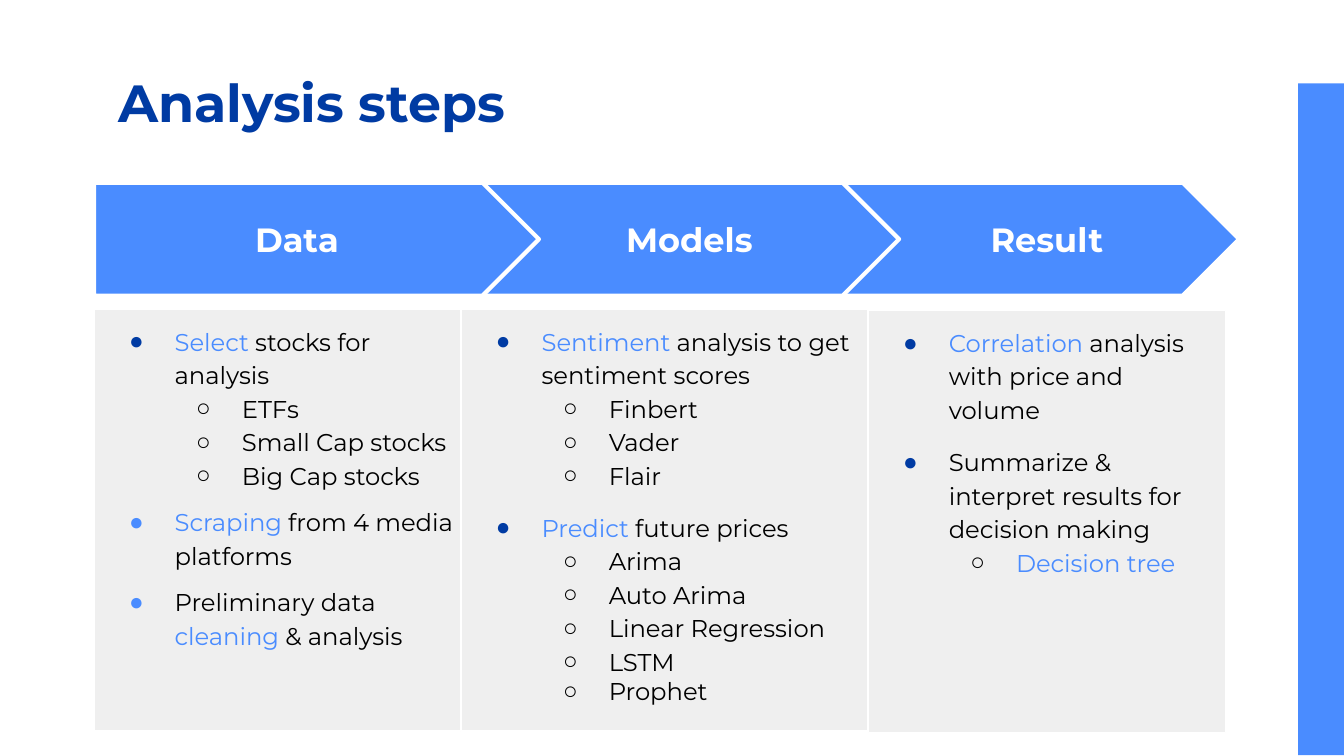
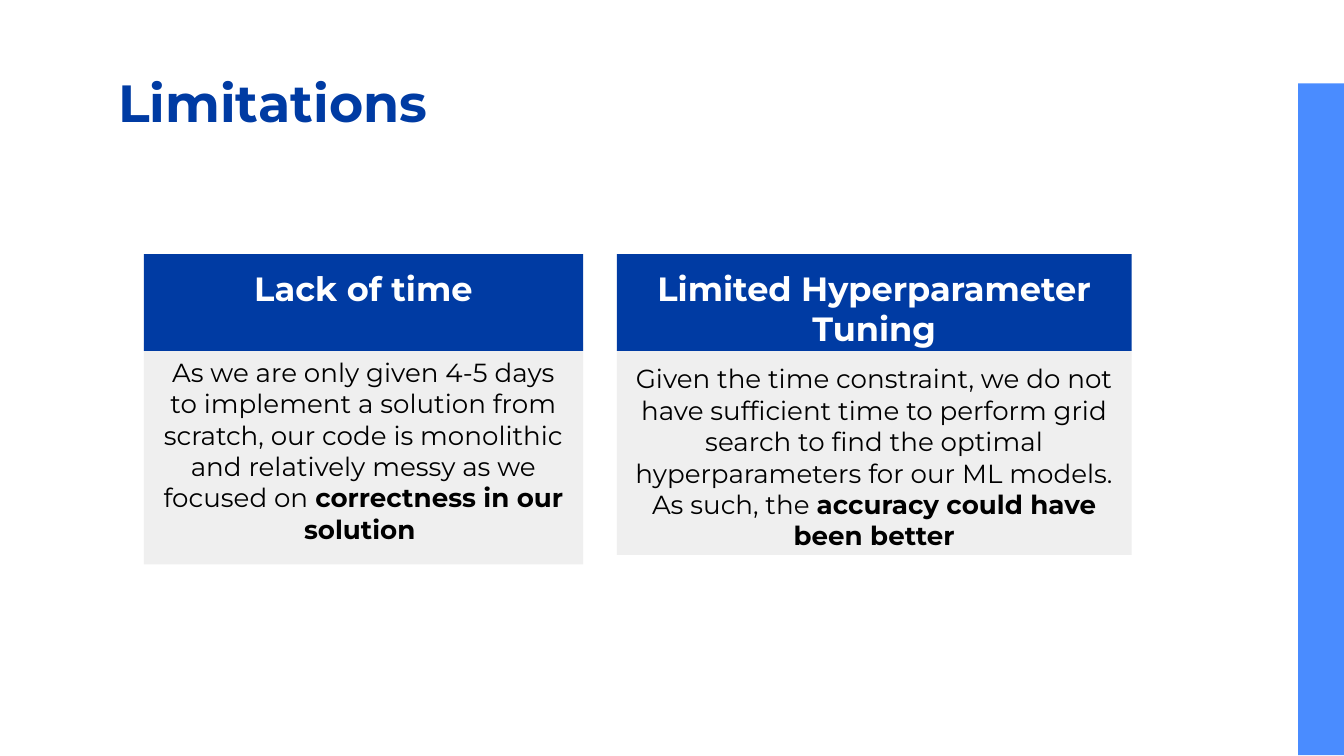
from dataclasses import dataclass

from lxml.etree import SubElement
from pptx import Presentation
from pptx.dml.color import RGBColor
from pptx.enum.shapes import MSO_SHAPE
from pptx.enum.text import MSO_ANCHOR, MSO_AUTO_SIZE, PP_ALIGN
from pptx.oxml.ns import qn
from pptx.util import Inches, Pt

BLUE = RGBColor(0x4A, 0x8C, 0xFF)
NAVY = RGBColor(0x00, 0x3B, 0xA3)
GRAY = RGBColor(0xEF, 0xEF, 0xEF)
BLACK = RGBColor(0, 0, 0)
WHITE = RGBColor(0xFF, 0xFF, 0xFF)
FACE = "Montserrat"
COMPARE, TITLE_ONLY = 4, 5  # layout numbers


@dataclass
class Item:
    """A list entry; words between asterisks are accented."""
    text: str
    level: int = 0
    gap: float = 0
    dot: RGBColor = NAVY
    pitch: float = 1.15


def subs(*names):
    return [Item(name, 1, dot=BLACK) for name in names]


STEPS = [  # heading, arrow left, heading left, panel box, list
    ("Data", 0.7, 1.26, (0.7, 2.3, 2.78, 3.14), [
        Item("*Select* stocks for analysis"),
        *subs("ETFs", "Small Cap stocks", "Big Cap stocks"),
        Item("*Scraping* from 4 media platforms", gap=7, dot=BLUE),
        Item("Preliminary data *cleaning* & analysis", gap=7, dot=BLUE)]),
    ("Models", 3.38, 4.18, (3.43, 2.3, 3.03, 3.14), [
        Item("*Sentiment *analysis to get sentiment scores"),
        *subs("Finbert", "Vader", "Flair"),
        Item("*Predict* future prices", gap=10),
        *subs("Arima", "Auto Arima", "Linear Regression", "LSTM"),
        Item("Prophet", 1, dot=BLACK, pitch=1.0)]),
    ("Result", 5.91, 6.84, (6.46, 2.31, 2.66, 3.14), [
        Item("*Correlation *analysis with price and volume"),
        Item("Summarize & interpret results for decision making", gap=10),
        *subs("*Decision tree*")]),
]

LIMITS = [  # heading, left, width, body top, body height, text
    ("Lack of time", 1.07, 3.27, 2.55, 1.65,
     "As we are only given 4-5 days to implement a solution from scratch, "
     "our code is monolithic and relatively messy as we focused on "
     "*correctness in our solution *"),
    ("Limited Hyperparameter Tuning", 4.59, 3.83, 2.6, 1.53,
     "Given the time constraint, we do not have sufficient time to perform "
     "grid search to find the optimal hyperparameters for our ML models. "
     "As such, the *accuracy could have been better*"),
]


def place(shape, box):
    shape.left, shape.top, shape.width, shape.height = map(Inches, box)


def frame(shape):
    """Give the shape's text frame the shared margins and return it."""
    area = shape.text_frame
    area.word_wrap = True
    area.auto_size = MSO_AUTO_SIZE.NONE
    area.vertical_anchor = MSO_ANCHOR.TOP
    area.margin_left = area.margin_right = Inches(0.1)
    area.margin_top = area.margin_bottom = Inches(0.1)
    return area


def style(para, size, color, bold=False, align=PP_ALIGN.LEFT):
    para.alignment = align
    font = para.font
    font.name, font.size, font.bold = FACE, Pt(size), bold
    font.color.rgb = color


def write(para, text, accent):
    """Add runs, calling accent on the font of each starred part."""
    for i, part in enumerate(text.split("*")):
        if part:
            run = para.add_run()
            run.text = part
            if i % 2:
                accent(run.font)


def tint(font):
    font.color.rgb = BLUE


def embolden(font):
    font.bold = True


def paint(shape, fill, line=None):
    shape.fill.solid()
    shape.fill.fore_color.rgb = fill
    if line:
        shape.line.color.rgb = WHITE
        shape.line.width = Pt(line)
    else:
        shape.line.fill.background()


def block(slide, kind, box, fill, line=None):
    shape = slide.shapes.add_shape(kind, *map(Inches, box))
    shape.shadow.inherit = False
    paint(shape, fill, line)
    return shape


def label(shape, text, size, color, bold=False):
    para = frame(shape).paragraphs[0]
    style(para, size, color, bold, PP_ALIGN.CENTER)
    write(para, text, embolden)


def start(deck, layout, title):
    slide = deck.slides.add_slide(deck.slide_layouts[layout])
    head = slide.shapes.title
    place(head, (0.78, 0.42, 8.43, 0.71))
    para = frame(head).paragraphs[0]
    style(para, 28, NAVY, True)
    para.add_run().text = title
    return slide


def band(deck, slide):
    """Draw the side band and move it to the master."""
    bar = block(slide, MSO_SHAPE.RECTANGLE, (9.66, 0.62, 0.34, 5), BLUE)
    deck.slide_master.shapes.element.append(bar.element)


def bullet(para, item):
    props = para._p.get_or_add_pPr()
    props.set("marL", str(Inches(0.5 + 0.5 * item.level)))
    props.set("indent", str(Inches(-0.34)))
    color = SubElement(props, qn("a:buClr"))
    SubElement(color, qn("a:srgbClr"), val=str(item.dot))
    SubElement(props, qn("a:buChar"), char="●○"[item.level])


def panel(shape, box, items):
    place(shape, box)
    paint(shape, GRAY, 0.75)
    area = frame(shape)
    for i, item in enumerate(items):
        para = area.add_paragraph() if i else area.paragraphs[0]
        para.level = item.level
        bullet(para, item)
        para.line_spacing = item.pitch
        para.space_before = Pt(item.gap)
        style(para, 13, BLACK)
        write(para, item.text, tint)


def arrow(slide, left, text_left, text):
    block(slide, MSO_SHAPE.PENTAGON, (left, 1.36, 3.31, 0.84), BLUE, 2.25)
    box = map(Inches, (text_left, 1.53, 1.9, 0.38))
    label(slide.shapes.add_textbox(*box), text, 18, WHITE, True)


def steps(deck):
    slide = start(deck, COMPARE, "Analysis steps")
    _, *bodies = slide.placeholders
    spare = bodies.pop().element
    spare.getparent().remove(spare)
    for body, (_, _, _, box, items) in zip(bodies, STEPS):
        panel(body, box, items)
    for text, left, text_left, _, _ in reversed(STEPS):
        arrow(slide, left, text_left, text)
    return slide


def card(slide, head, left, width, top, height, text):
    rect = MSO_SHAPE.RECTANGLE
    body = block(slide, rect, (left, top, width, height), GRAY)
    label(body, text, 14, BLACK)
    bar = block(slide, rect, (left, 1.89, width, 0.72), NAVY)
    label(bar, head, 18, WHITE, True)


def limits(deck):
    slide = start(deck, TITLE_ONLY, "Limitations")
    for limit in LIMITS:
        card(slide, *limit)


def main():
    deck = Presentation()
    deck.slide_width = Inches(10)
    deck.slide_height = deck.slide_width * 9 // 16
    band(deck, steps(deck))
    limits(deck)
    deck.save("out.pptx")


if __name__ == "__main__":
    main()
